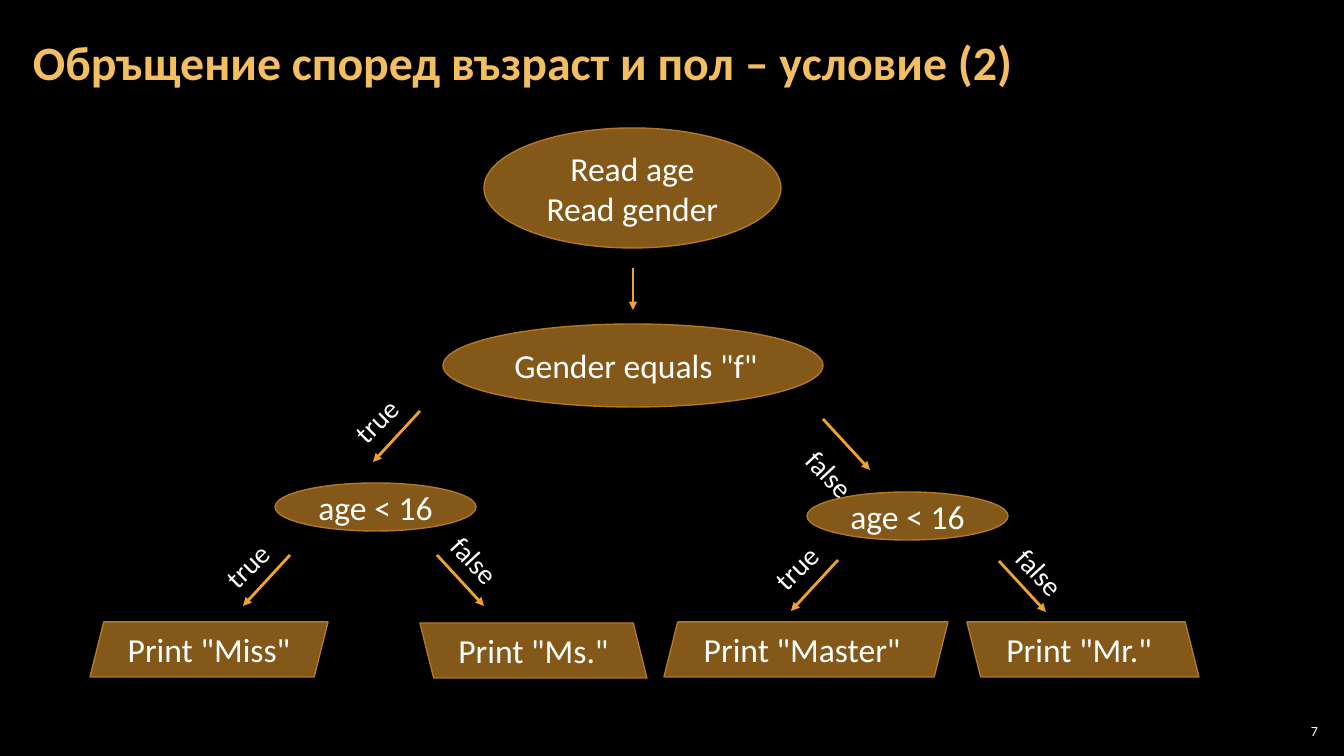
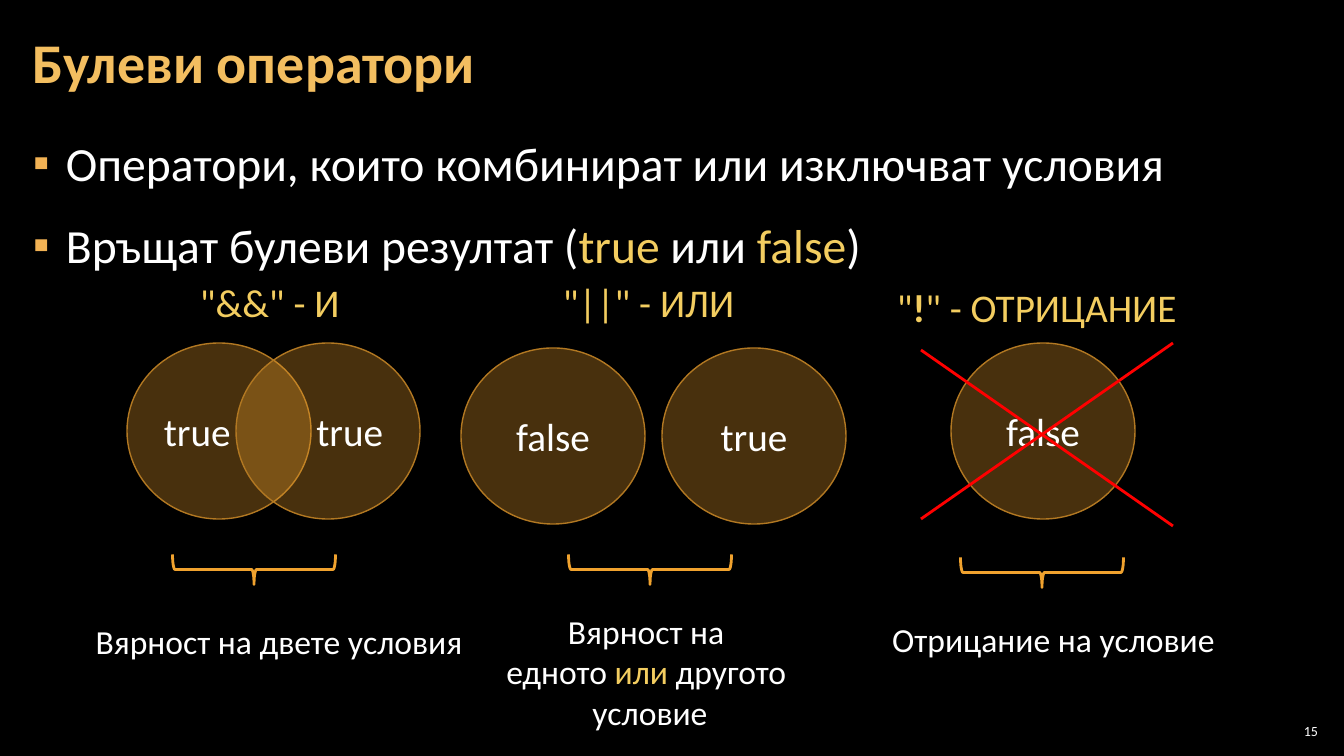
import pptx
import pptx.util
import pptx.dml.color
import pptx.enum.shapes
import pptx.enum.text
import pptx.oxml
import pptx.oxml.ns

RGB = pptx.dml.color.RGBColor
SHAPE = pptx.enum.shapes.MSO_SHAPE
ALIGN = pptx.enum.text.PP_ALIGN
ANCHOR = pptx.enum.text.MSO_ANCHOR
SIZE = pptx.enum.text.MSO_AUTO_SIZE
Pt = pptx.util.Pt
qn = pptx.oxml.ns.qn

# Shared look
BLACK = RGB(0x00, 0x00, 0x00)
WHITE = RGB(0xFF, 0xFF, 0xFF)
GOLD = RGB(0xF3, 0xBE, 0x60)
YELLOW = RGB(0xF3, 0xCD, 0x60)
BULLET = RGB(0xF2, 0xB2, 0x54)
AMBER = RGB(0xF0, 0xA2, 0x2E)
BRONZE = RGB(0xB2, 0x78, 0x22)
RED = RGB(0xFF, 0x00, 0x00)
FONT = "Calibri"
WIDE, HIGH = 1344, 756

# Flowchart: kind, left, top, width, height, lines, alignment, mirrored
NODES = [
    (SHAPE.OVAL, 484, 128, 297, 120, ["Read age", "Read gender"], ALIGN.CENTER, False),
    (SHAPE.OVAL, 443, 324, 380, 83, ['Gender equals "f"'], ALIGN.RIGHT, False),
    (SHAPE.OVAL, 275, 483, 201, 48, ["age < 16"], ALIGN.CENTER, False),
    (SHAPE.OVAL, 807, 492, 201, 48, ["age < 16"], ALIGN.CENTER, False),
    (SHAPE.PARALLELOGRAM, 90, 622, 238, 55, ['Print "Miss" '], ALIGN.CENTER, False),
    (SHAPE.PARALLELOGRAM, 420, 623, 227, 55, ['Print "Ms." '], ALIGN.CENTER, True),
    (SHAPE.PARALLELOGRAM, 664, 622, 284, 55, ['Print "Master" '], ALIGN.CENTER, False),
    (SHAPE.PARALLELOGRAM, 967, 622, 232, 55, ['Print "Mr." '], ALIGN.CENTER, True),
]
# Branches: answer, arrow start, label corner
BRANCHES = [
    ("true", 420, 411, 342, 398),
    ("false", 823, 419, 793, 453),
    ("true", 290, 555, 213, 543),
    ("false", 437, 555, 438, 539),
    ("true", 838, 560, 762, 545),
    ("false", 999, 561, 1003, 551),
]
# Answer: direction, label width, label turn
ANSWERS = {"true": (-1, 69, 315.6), "false": (1, 75, 47.2)}
STEP_X, STEP_Y = 47, 51

# Boolean operators; each run is text, colour, bold
POINTS = [
    [("Оператори, които комбинират или изключват условия", WHITE, False)],
    [("Връщат булеви резултат (", WHITE, False), ("true", YELLOW, False),
     (" или ", WHITE, False), ("false", YELLOW, False), (")", WHITE, False)],
]
DISC_W, DISC_H = 184, 176
BRACE_W, BRACE_H = 30, 163
GROUPS = [
    {"head": [('"&&" - И', YELLOW, False)], "head box": (190, 273, 162, 57),
     "discs": [(127, 343, "true", ALIGN.LEFT), (236, 343, "true", ALIGN.RIGHT)],
     "brace": (239, 488),
     "note": [[("Вярност на двете условия", WHITE, False)]],
     "note box": (84, 616, 390, 50)},
    {"head": [('"||" - ИЛИ', YELLOW, False)], "head box": (553, 273, 194, 57),
     "discs": [(461, 348, "false", ALIGN.CENTER), (662, 348, "true", ALIGN.CENTER)],
     "brace": (635, 488),
     "note": [[("Вярност на ", WHITE, False)],
              [("едното ", WHITE, False), ("или", YELLOW, False),
               (" другото ", WHITE, False)],
              [("условие", WHITE, False)]],
     "note box": (495, 606, 310, 132)},
    {"head": [('"', YELLOW, False), ("!", YELLOW, True),
              ('" - ОТРИЦАНИЕ', YELLOW, False)], "head box": (887, 278, 312, 57),
     "discs": [(951, 343, "false", ALIGN.CENTER)],
     "brace": (1027, 491),
     "note": [[("Отрицание на условие", WHITE, False)]],
     "note box": (880, 614, 347, 50)},
]
CROSS = [(1173, 343, 921, 519), (1173, 526, 921, 350)]


def px(n):
    return round(n * 914400 / 100.8)


def plain(line):
    return [(line, WHITE, False)]


def write(frame, paras, size, align=ALIGN.LEFT):
    for i, runs in enumerate(paras):
        para = frame.paragraphs[0] if i == 0 else frame.add_paragraph()
        para.alignment = align
        for text, color, bold in runs:
            run = para.add_run()
            run.text = text
            run.font.name = FONT
            run.font.size = Pt(size)
            run.font.bold = bold
            run.font.color.rgb = color


def inset(frame, side, edge):
    frame.margin_left = frame.margin_right = px(side)
    frame.margin_top = frame.margin_bottom = px(edge)


def label(slide, box, paras, size, align=ALIGN.LEFT, turn=0):
    item = slide.shapes.add_textbox(*map(px, box))
    item.rotation = turn
    item.text_frame.word_wrap = False
    write(item.text_frame, paras, size, align)
    return item


def node(slide, kind, box, lines, size, align, alpha, flip=False):
    item = slide.shapes.add_shape(kind, *map(px, box))
    item.shadow.inherit = False
    item.fill.solid()
    item.fill.fore_color.rgb = AMBER
    tint = item._element.spPr.find(qn("a:solidFill"))[0]
    pptx.oxml.ns  # namespace helpers
    tint.append(tint.makeelement(qn("a:alpha"), {"val": str(alpha * 1000)}))
    item.line.color.rgb = BRONZE
    item.line.width = Pt(1)
    if flip:
        item._element.spPr.xfrm.set("flipH", "1")
    item.text_frame.vertical_anchor = ANCHOR.MIDDLE
    write(item.text_frame, [plain(line) for line in lines], size, align)


def line(slide, ends, color, arrow=False):
    kind = pptx.enum.shapes.MSO_CONNECTOR.STRAIGHT
    item = slide.shapes.add_connector(kind, *map(px, ends))
    item.line.color.rgb = color
    item.line.width = Pt(2)
    props = item._element.spPr
    if arrow:
        stroke = props.find(qn("a:ln"))
        stroke.append(stroke.makeelement(qn("a:tailEnd"), {"type": "triangle"}))
    props.append(props.makeelement(qn("a:effectLst"), {}))


def place(item, box):
    item.left, item.top, item.width, item.height = map(px, box)
    item.text_frame.auto_size = SIZE.NONE
    inset(item.text_frame, 12, 4)


def start(deck, layout, title, size, number):
    slide = deck.slides.add_slide(deck.slide_layouts[layout])
    head = slide.shapes.title
    place(head, (21, 4, 1055, 122))
    head.text_frame.vertical_anchor = ANCHOR.MIDDLE
    write(head.text_frame, [[(title, GOLD, True)]], size)
    head.text_frame.paragraphs[0].line_spacing = 0.9
    page = label(slide, (1275, 720, 47, 21), [plain(number)], 10, ALIGN.RIGHT)
    page.text_frame.word_wrap = True
    page.text_frame.vertical_anchor = ANCHOR.MIDDLE
    inset(page.text_frame, 4, 4)
    return slide


def chart(deck):
    slide = start(deck, 5, "Обръщение според възраст и пол – условие (2)", 34.2, "7")
    # Answers go under the nodes
    for word, x, y, left, top in BRANCHES:
        way, wide, turn = ANSWERS[word]
        label(slide, (left, top, wide, 44), [plain(word)], 20, turn=turn)
        line(slide, (x, y, x + way * STEP_X, y + STEP_Y), AMBER, True)
    line(slide, (633, 268, 633, 310), AMBER, True)
    for kind, x, y, w, h, lines, align, flip in NODES:
        node(slide, kind, (x, y, w, h), lines, 24, align, 55, flip)


def logic(deck):
    slide = start(deck, 1, "Булеви оператори", 40, "15")
    # Bulleted points
    body = slide.placeholders[1]
    place(body, (21, 121, 1301, 614))
    write(body.text_frame, POINTS, 34)
    for para in body.text_frame.paragraphs:
        para.line_spacing = 1.15
        para.space_before = para.space_after = Pt(6)
        props = para._p.get_or_add_pPr()
        props.set("marL", str(px(33)))
        props.set("indent", str(-px(33)))
        tint = props.makeelement(qn("a:buClr"), {})
        tint.append(tint.makeelement(qn("a:srgbClr"), {"val": str(BULLET)}))
        props.append(tint)
        props.append(props.makeelement(qn("a:buChar"), {"char": "▪"}))
    # Operators with discs, brace and note
    for group in GROUPS:
        label(slide, group["head box"], [group["head"]], 28)
        for x, y, word, align in group["discs"]:
            node(slide, SHAPE.OVAL, (x, y, DISC_W, DISC_H), [word], 28, align, 30)
        x, y = group["brace"]
        brace = slide.shapes.add_shape(
            SHAPE.RIGHT_BRACE, px(x), px(y), px(BRACE_W), px(BRACE_H))
        brace.rotation = 90
        brace.shadow.inherit = False
        brace.fill.background()
        brace.line.color.rgb = AMBER
        brace.line.width = Pt(2)
        label(slide, group["note box"], group["note"], 24, ALIGN.CENTER)
    for ends in CROSS:
        line(slide, ends, RED)


def main():
    deck = pptx.Presentation()
    deck.slide_width, deck.slide_height = px(WIDE), px(HIGH)
    back = deck.slide_master.background.fill
    back.solid()
    back.fore_color.rgb = BLACK
    chart(deck)
    logic(deck)
    deck.save("out.pptx")


if __name__ == "__main__":
    main()
